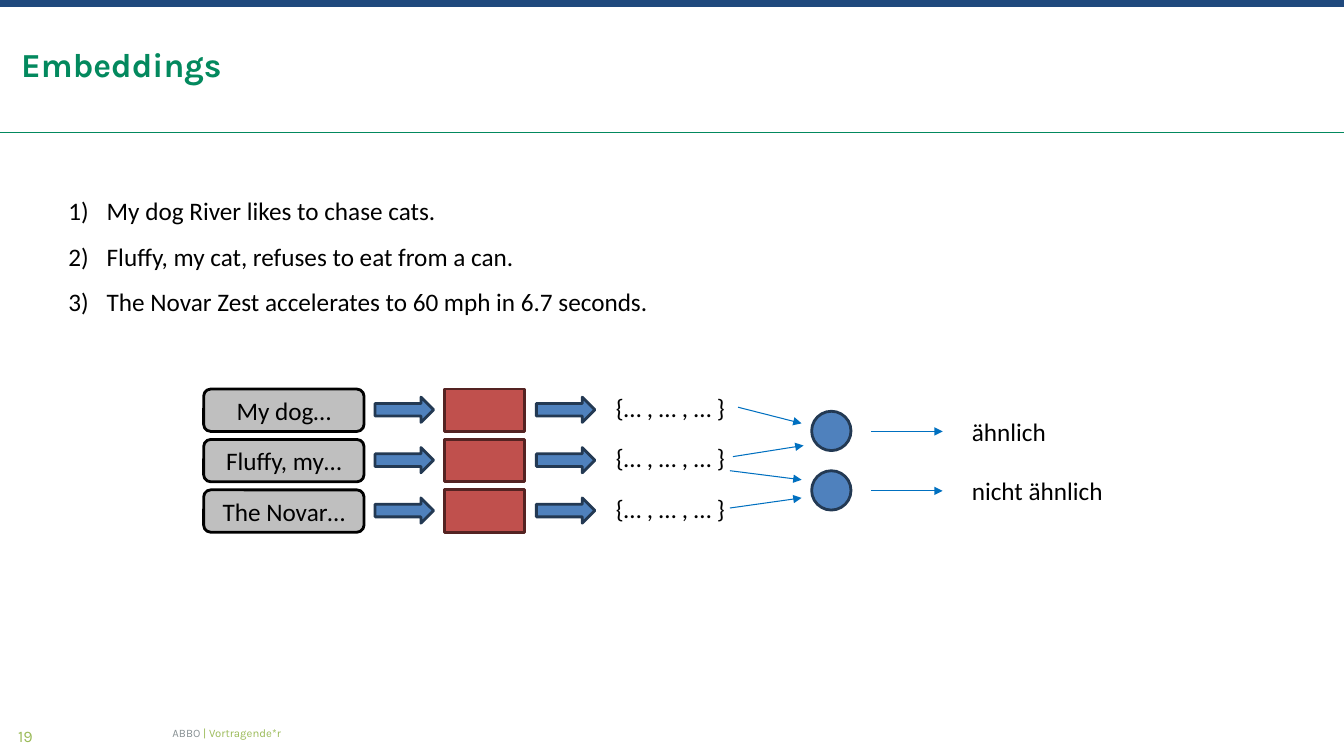
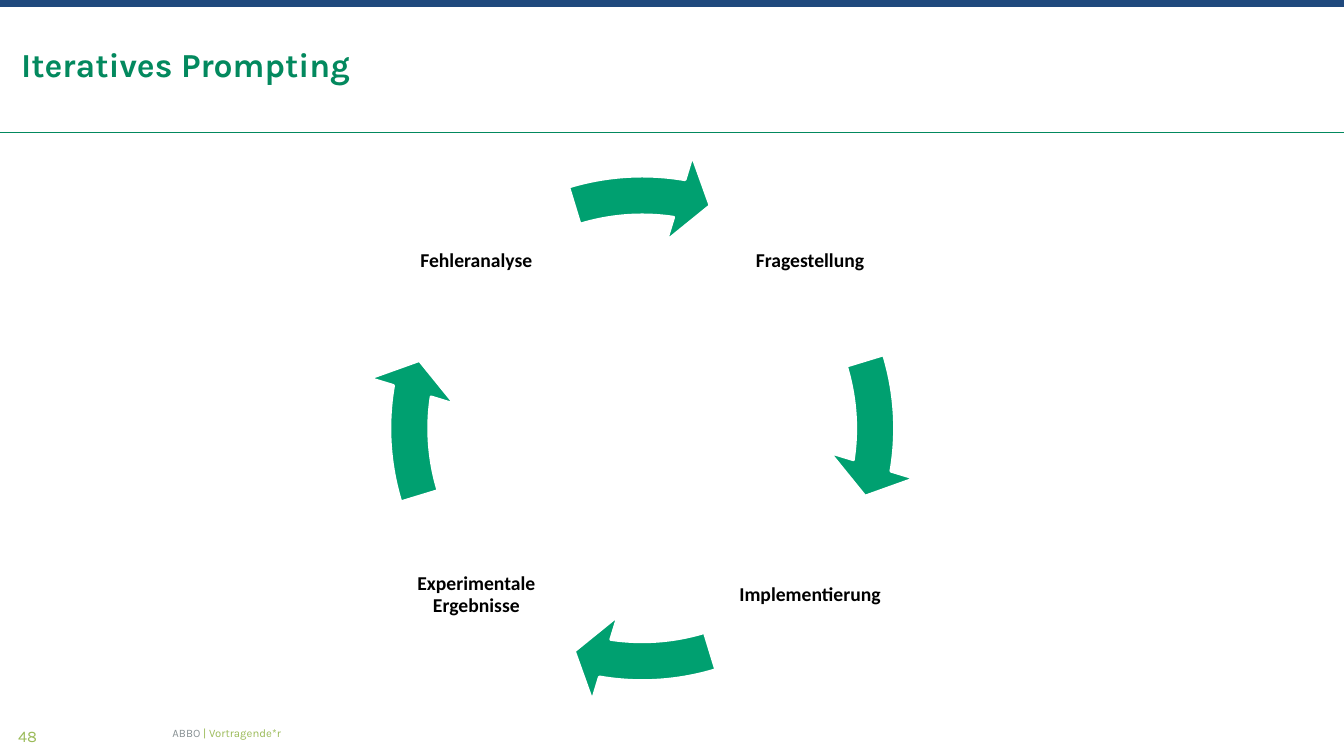
"""Build two slides on embeddings and iterative prompting."""
from lxml import etree
from pptx import Presentation, util as u
from pptx.dml.color import RGBColor
from pptx.enum import shapes as sh, text as tx
from pptx.oxml.ns import qn

WIDE, HIGH = 13.33, 7.5
GREEN, NAVY, LIME, GREY = "03895E", "1F497D", "9BBB59", "889194"
BLUE, EDGE, RED, DARK = "4F81BD", "233953", "C0504D", "542322"
SKY, JADE, SILVER, BLACK, WHITE = "0070C0", "00A070", "BFBFBF", "000000", "FFFFFF"
FORM, ANCHOR = sh.MSO_SHAPE, tx.MSO_ANCHOR
CENTER = tx.PP_ALIGN.CENTER

FOOTER = [("ABBO ", GREY), ("| Vortragende*r", LIME)]
LINES = ["My dog River likes to chase cats.",
         "Fluffy, my cat, refuses to eat from a can.",
         "The Novar Zest accelerates to 60 mph in 6.7 seconds."]
INPUTS = ["My dog…", "Fluffy, my…", "The Novar…"]
VECTOR = "{… , … , … }"
RESULTS = [("ähnlich", 0.95), ("nicht ähnlich", 1.52)]
LINKS = [((7.32, 4.04), (7.95, 4.2)), ((7.24, 4.67), (7.95, 4.76)),
         ((7.24, 5.04), (7.95, 4.94)), ((7.27, 4.53), (7.97, 4.42))]
CYCLE = [("Fragestellung", 1, 0), ("Implementierung", 1, 1),
         ("Experimentale Ergebnisse", 0, 1), ("Fehleranalyse", 0, 0)]


def inch(*nums):
    """Turn numbers into inches."""
    return [u.Inches(n) for n in nums]


def paint(part, tint):
    """Give a fill, line or font one colour."""
    if hasattr(part, "solid"):
        part.solid()
        part = part.fore_color
    else:
        part = part.color
    part.rgb = RGBColor.from_string(tint)


def style(para, size=18, face="Calibri", tint=BLACK, bold=False):
    """Set the font of a paragraph."""
    para.font.size, para.font.name, para.font.bold = u.Pt(size), face, bold
    paint(para.font, tint)


def pad(frame, gap=0):
    """Set equal margins on all sides."""
    frame.margin_left = frame.margin_right = u.Inches(gap)
    frame.margin_top = frame.margin_bottom = u.Inches(gap)


def shape(slide, form, box, fill, edge=None):
    """Add a preset shape without a shadow."""
    item = slide.shapes.add_shape(form, *inch(*box))
    item.shadow.inherit = False
    paint(item.fill, fill)
    if edge:
        paint(item.line, edge)
        item.line.width = u.Pt(2)
    else:
        item.line.fill.background()
    return item


def label(slide, box, words, wrap=False, **font):
    """Add a text box with one paragraph per string."""
    frame = slide.shapes.add_textbox(*inch(*box)).text_frame
    frame.word_wrap = wrap
    frame.text = "\n".join(words)
    for para in frame.paragraphs:
        style(para, **font)
    return frame


def line(slide, start, end, tint, width, head=True):
    """Add a straight line, with an arrowhead if wanted."""
    item = slide.shapes.add_connector(sh.MSO_CONNECTOR.STRAIGHT, *inch(*start, *end))
    paint(item.line, tint)
    item.line.width = u.Pt(width)
    if head:
        tail = etree.SubElement(item.line._get_or_add_ln(), qn("a:tailEnd"))
        tail.set("type", "triangle")
    etree.SubElement(item._element.spPr, qn("a:effectLst"))


def base(deck, title, page):
    """Start a slide with band, rule, title and footer."""
    slide = deck.slides.add_slide(deck.slide_layouts[5])
    line(slide, (0, 1.31), (WIDE, 1.31), GREEN, 0.72, head=False)
    shape(slide, FORM.RECTANGLE, (0, 0, WIDE, 0.07), NAVY)
    head = slide.shapes.title
    head.left, head.top, head.width, head.height = inch(0.21, 0.44, 12.91, 0.4)
    frame = head.text_frame
    frame.text = title
    frame.vertical_anchor = ANCHOR.BOTTOM
    frame.auto_size = tx.MSO_AUTO_SIZE.SHAPE_TO_FIT_TEXT
    pad(frame)
    frame.paragraphs[0].alignment = tx.PP_ALIGN.LEFT
    style(frame.paragraphs[0], 24, "Karla", GREEN, True)
    pad(label(slide, (0.18, 7.21, 6.49, 0.19), [str(page)], True,
              size=11.5, face="Karla", tint=LIME))
    foot = label(slide, (1.71, 7.2, 9.91, 0.15), [""], True, size=8.1, face="Karla")
    pad(foot)
    foot.vertical_anchor = ANCHOR.MIDDLE
    for words, tint in FOOTER:
        run = foot.paragraphs[0].add_run()
        run.text = words
        paint(run.font, tint)
    return slide


def embed(deck):
    """Draw the sentences and their way to a comparison."""
    slide = base(deck, "Embeddings", 19)
    for para in label(slide, (0.58, 1.74, 6.01, 1.42), LINES).paragraphs:
        para.line_spacing = 1.5
        props = para._p.get_or_add_pPr()
        props.set("marL", str(u.Inches(0.38)))
        props.set("indent", str(-u.Inches(0.38)))
        etree.SubElement(props, qn("a:buFont")).set("typeface", "+mj-lt")
        etree.SubElement(props, qn("a:buAutoNum")).set("type", "arabicParenR")
        rest = props.find(qn("a:defRPr"))
        props.append(rest)
    for row, words in enumerate(INPUTS):
        top = 3.86 + row * 0.5
        card = shape(slide, FORM.ROUNDED_RECTANGLE, (2.02, top, 1.59, 0.42), SILVER, BLACK)
        card.text_frame.text = words
        card.text_frame.paragraphs[0].alignment = CENTER
        style(card.text_frame.paragraphs[0])
        for left in (3.72, 5.32):
            shape(slide, FORM.RIGHT_ARROW, (left, top + 0.08, 0.58, 0.25), BLUE, EDGE)
        shape(slide, FORM.RECTANGLE, (4.41, top, 0.79, 0.42), RED, DARK)
        label(slide, (6.01, top - 0.02, 1.31, 0.4), [VECTOR])
    for start, end in LINKS:
        line(slide, start, end, SKY, 0.75)
    for row, (words, width) in enumerate(RESULTS):
        mid = 4.28 + row * 0.59
        shape(slide, FORM.OVAL, (8.05, mid - 0.2, 0.39, 0.39), BLUE, EDGE)
        line(slide, (8.64, mid), (9.35, mid), SKY, 0.75)
        label(slide, (9.54, mid - 0.2, width, 0.4), [words])


def cycle(deck):
    """Draw four steps joined in a ring of arrows."""
    slide = base(deck, "Iteratives Prompting", 48)
    turn, full = 54, 216
    for step, (words, col, row) in enumerate(CYCLE):
        box = (3.75 + col * 3.31, 1.62 + row * 3.31, 1.95, 1.95)
        card = shape(slide, FORM.RECTANGLE, box, WHITE)
        frame = card.text_frame
        frame.text = words
        pad(frame, 0.02)
        para = frame.paragraphs[0]
        para.alignment, para.line_spacing = CENTER, 0.9
        style(para, 14, bold=True)
        ring = shape(slide, FORM.CIRCULAR_ARROW, (3.62, 1.5, 5.5, 5.5), JADE, WHITE)
        angles = (5.51 + step * turn, (205.84 + step * turn) % full)
        for spot, value in enumerate((0.07, 4.65, *angles, 0.08)):
            ring.adjustments[spot] = value


def main():
    """Build and save the deck."""
    deck = Presentation()
    deck.slide_width, deck.slide_height = inch(WIDE, HIGH)
    embed(deck)
    cycle(deck)
    deck.save("out.pptx")


if __name__ == "__main__":
    main()
